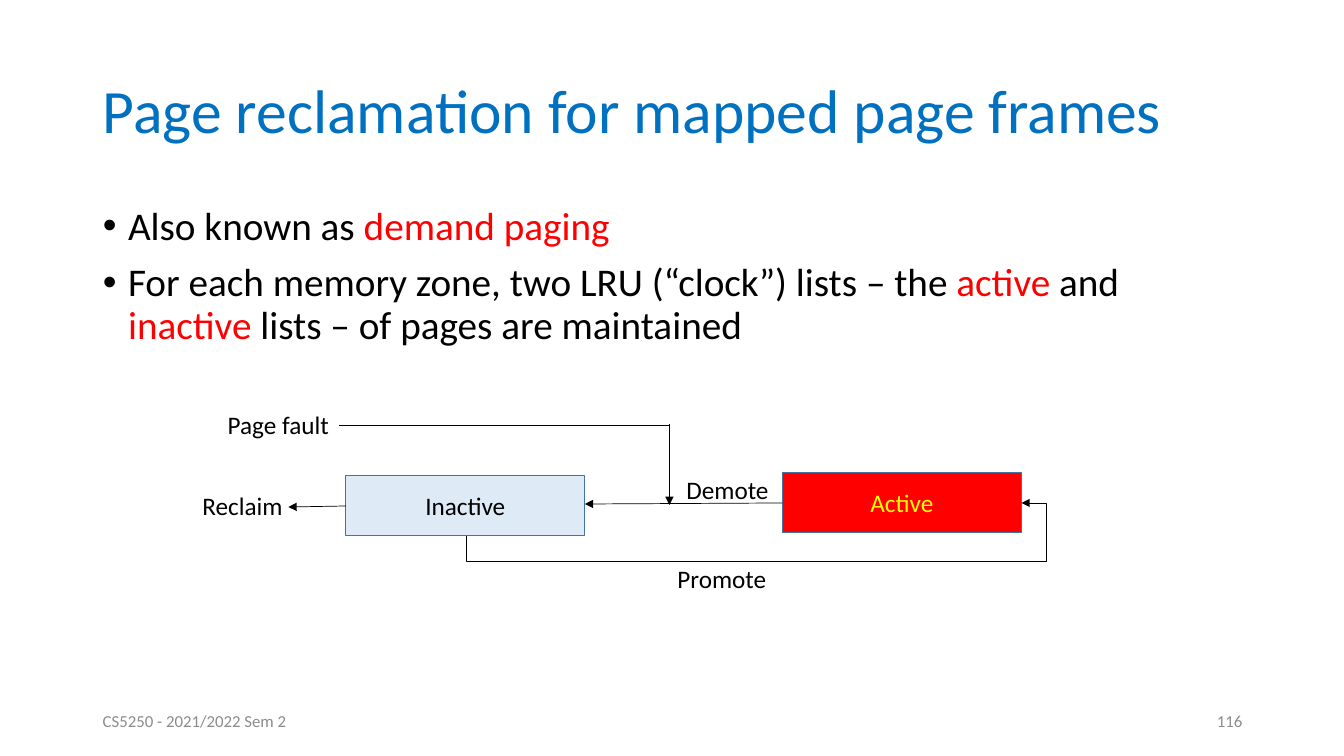
from dataclasses import dataclass

from lxml import etree
from pptx import Presentation
from pptx.dml.color import RGBColor
from pptx.enum.shapes import MSO_CONNECTOR, MSO_SHAPE
from pptx.enum.text import MSO_ANCHOR, MSO_AUTO_SIZE, PP_ALIGN
from pptx.oxml.ns import qn
from pptx.shapes.autoshape import Shape
from pptx.shapes.connector import Connector
from pptx.slide import Slide
from pptx.text.text import TextFrame
from pptx.util import Inches, Pt

STRAIGHT, ELBOW = MSO_CONNECTOR.STRAIGHT, MSO_CONNECTOR.ELBOW
RECTANGLE = MSO_SHAPE.RECTANGLE
TOP, MIDDLE = MSO_ANCHOR.TOP, MSO_ANCHOR.MIDDLE
LEFT, CENTER, RIGHT = PP_ALIGN.LEFT, PP_ALIGN.CENTER, PP_ALIGN.RIGHT
FIXED, GROW = MSO_AUTO_SIZE.NONE, MSO_AUTO_SIZE.SHAPE_TO_FIT_TEXT

BLACK = RGBColor(0x00, 0x00, 0x00)
BLUE = RGBColor(0x00, 0x70, 0xC0)
RED = RGBColor(0xFF, 0x00, 0x00)
YELLOW = RGBColor(0xFF, 0xFF, 0x00)
PALE_BLUE = RGBColor(0xDE, 0xEB, 0xF7)
STEEL = RGBColor(0x43, 0x73, 0x9E)
GREY = RGBColor(0x8C, 0x8C, 0x8C)

FONT = "Calibri"
MARGIN = 0.92
CONTENT_WIDTH = 11.5
LIST_WIDTH, LIST_HEIGHT = 2.37, 0.59
LABEL_HEIGHT = 0.4
FOOTER_TOP, FOOTER_WIDTH = 6.95, 3


@dataclass(frozen=True)
class Span:
    text: str
    color: RGBColor = BLACK


@dataclass(frozen=True)
class PageList:
    name: str
    left: float
    top: float
    fill: RGBColor
    color: RGBColor


@dataclass(frozen=True)
class Arrow:
    start: tuple[float, float]
    end: tuple[float, float]
    head: bool = True


@dataclass(frozen=True)
class Label:
    text: str
    left: float
    top: float
    width: float


@dataclass(frozen=True)
class Footer:
    text: str
    left: float
    align: PP_ALIGN


BULLETS = [
    [Span("Also known as "), Span("demand paging", RED)],
    [
        Span("For each memory zone, two LRU (“clock”) lists – the "),
        Span("active", RED),
        Span(" and "),
        Span("inactive", RED),
        Span(" lists – of pages are maintained"),
    ],
]
PAGE_LISTS = [
    PageList("Inactive", 3.43, 4.72, PALE_BLUE, BLACK),
    PageList("Active", 7.76, 4.69, RED, YELLOW),
]
ARROWS = [
    Arrow((7.76, 4.99), (5.8, 5)),
    Arrow((3.36, 4.22), (6.65, 4.22), head=False),
    Arrow((6.64, 4.21), (6.64, 5.01)),
    Arrow((3.43, 5.02), (2.86, 5.03)),
]
LABELS = [
    Label("Page fault", 2.16, 4.01, 1.22),
    Label("Reclaim", 1.91, 4.82, 1.01),
    Label("Promote", 6.62, 5.54, 1.09),
    Label("Demote", 6.71, 4.66, 1.03),
]
FOOTERS = [
    Footer("CS5250 - 2021/2022 Sem 2", MARGIN, LEFT),
    Footer("116", MARGIN + CONTENT_WIDTH - FOOTER_WIDTH, RIGHT),
]


def apply_format(target: object, values: dict[str, object]) -> None:
    for name, value in values.items():
        setattr(target, name, value)


def place(shape: Shape, left: float, top: float, width: float, height: float) -> None:
    frame = {"left": left, "top": top, "width": width, "height": height}
    apply_format(shape, {name: Inches(length) for name, length in frame.items()})


def write_spans(frame: TextFrame, index: int, spans: list[Span], size: float,
                values: dict[str, object]) -> None:
    para = frame.paragraphs[0] if index == 0 else frame.add_paragraph()
    apply_format(para, values)
    for span in spans:
        run = para.add_run()
        run.text = span.text
        apply_format(run.font, {"name": FONT, "size": Pt(size)})
        run.font.color.rgb = span.color


def fill_title(slide: Slide) -> None:
    title = slide.shapes.title
    place(title, MARGIN, 0.4, CONTENT_WIDTH, 1.45)
    apply_format(title.text_frame, {"auto_size": FIXED, "vertical_anchor": MIDDLE})
    spans = [Span("Page reclamation for mapped page frames", BLUE)]
    write_spans(title.text_frame, 0, spans, 44, {"alignment": LEFT, "line_spacing": 0.9})


def fill_body(slide: Slide) -> None:
    body = slide.placeholders[1]
    place(body, MARGIN, 2, CONTENT_WIDTH, 4.76)
    frame = body.text_frame
    apply_format(frame, {"auto_size": FIXED, "vertical_anchor": TOP})
    for index, spans in enumerate(BULLETS):
        space = Pt(10 if index else 0)
        write_spans(frame, index, spans, 28, {"line_spacing": 0.9, "space_before": space})
        properties = frame.paragraphs[index]._p.get_or_add_pPr()
        properties.set("marL", str(Inches(0.25)))
        properties.set("indent", str(Inches(-0.25)))
        etree.SubElement(properties, qn("a:buFont"), typeface="Arial")
        etree.SubElement(properties, qn("a:buChar"), char="•")


def draw_page_list(slide: Slide, item: PageList) -> None:
    box = slide.shapes.add_shape(RECTANGLE, Inches(item.left), Inches(item.top),
                                 Inches(LIST_WIDTH), Inches(LIST_HEIGHT))
    box.shadow.inherit = False
    box.fill.solid()
    box.fill.fore_color.rgb = item.fill
    box.line.color.rgb = STEEL
    box.line.width = Pt(1)
    box.text_frame.vertical_anchor = MIDDLE
    write_spans(box.text_frame, 0, [Span(item.name, item.color)], 18, {"alignment": CENTER})


def draw_arrow(slide: Slide, arrow: Arrow, kind: MSO_CONNECTOR = STRAIGHT) -> Connector:
    ends = [Inches(length) for length in (*arrow.start, *arrow.end)]
    line = slide.shapes.add_connector(kind, *ends)
    line.line.color.rgb = BLACK
    line.line.width = Pt(0.5)
    if arrow.head:
        etree.SubElement(line.line._get_or_add_ln(), qn("a:tailEnd"), type="triangle")
    etree.SubElement(line._element.spPr, qn("a:effectLst"))
    return line


def draw_promotion(slide: Slide) -> None:
    line = draw_arrow(slide, Arrow((7.21, 2.4), (7.54, 7.91)), ELBOW)
    properties = line._element.spPr
    for name, value in {"rot": "5400000", "flipH": "1", "flipV": "1"}.items():
        properties.find(qn("a:xfrm")).set(name, value)
    geometry = properties.find(qn("a:prstGeom"))
    geometry.set("prst", "bentConnector4")
    guides = geometry.find(qn("a:avLst"))
    for name, value in {"adj1": -76600, "adj2": 104500}.items():
        etree.SubElement(guides, qn("a:gd"), name=name, fmla=f"val {value}")


def add_text(slide: Slide, span: Span, left: float, top: float, width: float, size: float,
             align: PP_ALIGN, values: dict[str, object]) -> None:
    box = slide.shapes.add_textbox(Inches(left), Inches(top), Inches(width),
                                   Inches(LABEL_HEIGHT))
    apply_format(box.text_frame, values)
    write_spans(box.text_frame, 0, [span], size, {"alignment": align})


def main() -> None:
    deck = Presentation()
    apply_format(deck, {"slide_width": Inches(13.33), "slide_height": Inches(7.5)})
    slide = deck.slides.add_slide(deck.slide_layouts[1])
    fill_title(slide)
    fill_body(slide)
    for item in PAGE_LISTS:
        draw_page_list(slide, item)
    for arrow in ARROWS:
        draw_arrow(slide, arrow)
    draw_promotion(slide)
    for label in LABELS:
        add_text(slide, Span(label.text), label.left, label.top, label.width, 18, LEFT,
                 {"word_wrap": False, "auto_size": GROW})
    for footer in FOOTERS:
        add_text(slide, Span(footer.text, GREY), footer.left, FOOTER_TOP, FOOTER_WIDTH, 12,
                 footer.align, {"word_wrap": True, "vertical_anchor": MIDDLE})
    deck.save("out.pptx")


if __name__ == "__main__":
    main()
